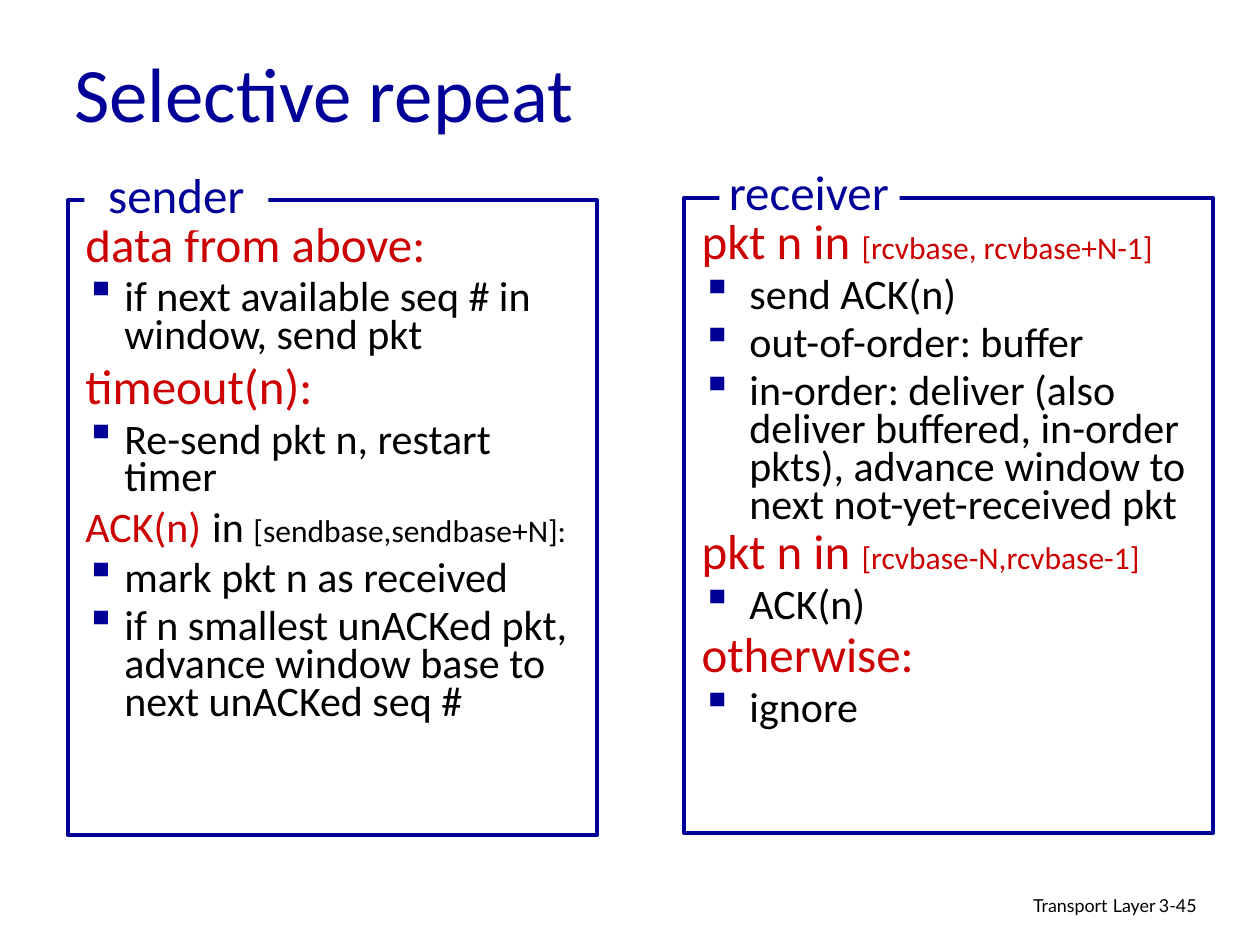
from lxml.etree import SubElement
from pptx import Presentation
from pptx.dml.color import RGBColor
from pptx.enum.shapes import MSO_SHAPE
from pptx.enum.text import MSO_ANCHOR, PP_ALIGN
from pptx.oxml.ns import qn
from pptx.util import Inches, Pt

HEX = {"navy": "000099", "red": "CC0000", "black": "000000", "white": "FFFFFF"}
INK = {name: RGBColor.from_string(code) for name, code in HEX.items()}

deck = Presentation()
deck.slide_width, deck.slide_height = Inches(10), Inches(7.5)
col, row = deck.slide_width / 100, deck.slide_height / 75  # grid of 100 x 75


def place(x, y, wide, high):
    return [round(n) for n in (x * col, y * row, wide * col, high * row)]


def write(para, text, size, ink, face="Calibri"):
    run = para.add_run()
    run.text = text
    for key, value in {"size": Pt(size), "name": face}.items():
        setattr(run.font, key, value)
    run.font.color.rgb = INK[ink]


slide = deck.slides.add_slide(deck.slide_layouts[5])

# Title
title = slide.shapes.title
title.left, title.top, title.width, title.height = place(4.9, 2.7, 85, 9.2)
title.text_frame.vertical_anchor = MSO_ANCHOR.MIDDLE
para = title.text_frame.paragraphs[0]
para.alignment = PP_ALIGN.LEFT
write(para, "Selective repeat", 44, "navy")

# Footer: section name and page number
footer = [
    ((61, 70.5, 31.7, 3.1), PP_ALIGN.RIGHT,
     [("Transport", 10.2), (" ", 11.9), ("Layer", 10.2)]),
    ((91, 70.7, 7.4, 3), PP_ALIGN.LEFT, [("3-45", 10.2)]),
]
for spot, align, parts in footer:
    frame = slide.shapes.add_textbox(*place(*spot)).text_frame
    frame.word_wrap = True
    para = frame.paragraphs[0]
    para.alignment, para.line_spacing = align, 0.9
    for text, size in parts:
        write(para, text, size, "black", "Lato")

# Panels: a plain string is a bullet, a (space before, runs) pair is a heading
sender = [
    (0, [("data from above:", 28, "red")]),
    "if next available seq # in window, send pkt",
    (7, [("timeout(n):", 28, "red")]),
    "Re-send pkt n, restart timer",
    (4.5, [("ACK(n)", 24, "red"), (" ", 28, "red"), ("in ", 24, "black"),
           ("[sendbase,sendbase+N]:", 18, "black")]),
    "mark pkt n as received",
    "if n smallest unACKed pkt, advance window base to next unACKed seq #",
]
receiver = [
    (0, [("pkt n in ", 28, "red"), ("[rcvbase, rcvbase+N-1]", 18, "red")]),
    "send ACK(n)",
    "out-of-order: buffer",
    "in-order: deliver (also deliver buffered, in-order pkts), "
    "advance window to next not-yet-received pkt",
    (4.5, [("pkt n in ", 28, "red"), ("[rcvbase-N,rcvbase-1]", 18, "red")]),
    "ACK(n)",
    (6, [("otherwise:", 28, "red")]),
    "ignore",
]
# name, lines, panel corner, hanging indent, white mask, label
panels = [
    ("sender", sender, (5.4, 15.9), 0.31,
     (6.7, 12.6, 14.6, 5.7), (6.7, 12.6, 14.6, 5.7)),
    ("receiver", receiver, (54.3, 15.7), 0.38,
     (57.1, 14.2, 14.3, 3.1), (55.9, 12.3, 16.6, 5.7)),
]
for name, lines, (x, y), hang, mask, label in panels:
    # Body text
    frame = slide.shapes.add_textbox(*place(x + 0.4, y + 1.6, 41.7, 50.8)).text_frame
    frame.word_wrap = True
    for i, line in enumerate(lines):
        para = frame.paragraphs[0] if i == 0 else frame.add_paragraph()
        bullet = isinstance(line, str)
        gap, runs = (6, [(line, 24, "black")]) if bullet else line
        props = para._p.get_or_add_pPr()
        props.set("marL", str(Inches(hang)))
        props.set("indent", str(-Inches(hang)))
        if bullet:
            tint = SubElement(props, qn("a:buClr"))
            SubElement(tint, qn("a:srgbClr"), val=HEX["navy"])
            SubElement(props, qn("a:buChar"), char="▪")
        para.line_spacing, para.space_before = 0.75, Pt(gap)
        for run in runs:
            write(para, *run)

    # Frame, then the mask that opens its top edge
    box = slide.shapes.add_shape(MSO_SHAPE.RECTANGLE, *place(x, y, 42, 50.4))
    box.fill.background()
    box.line.color.rgb, box.line.width = INK["navy"], Pt(2.25)
    gate = slide.shapes.add_shape(MSO_SHAPE.RECTANGLE, *place(*mask))
    gate.fill.solid()
    gate.fill.fore_color.rgb = INK["white"]
    gate.line.fill.background()
    for shape in (box, gate):
        shape.shadow.inherit = False

    # Label: inside the mask when they share a place
    tag = gate if mask == label else slide.shapes.add_textbox(*place(*label))
    frame = tag.text_frame
    frame.word_wrap, frame.vertical_anchor = False, MSO_ANCHOR.TOP
    para = frame.paragraphs[0]
    para.alignment = PP_ALIGN.CENTER
    write(para, name, 28, "navy")

deck.save("out.pptx")
